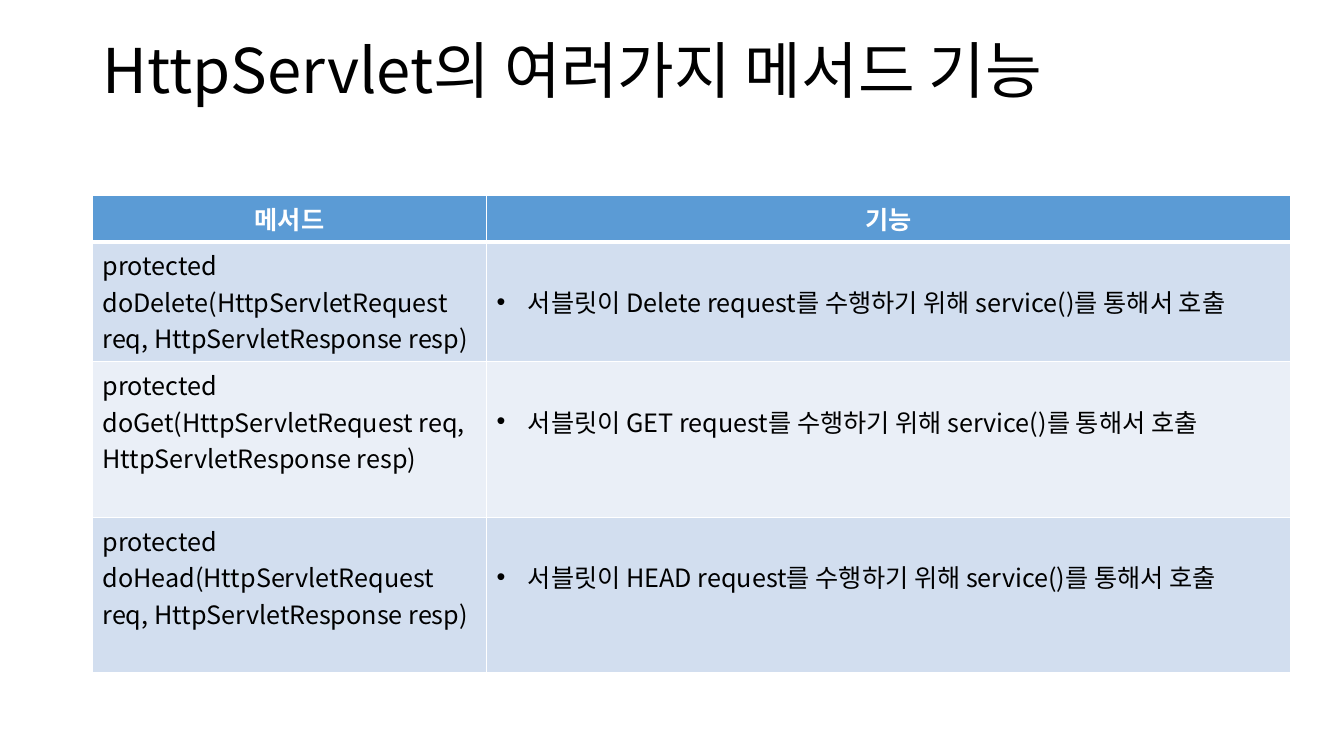
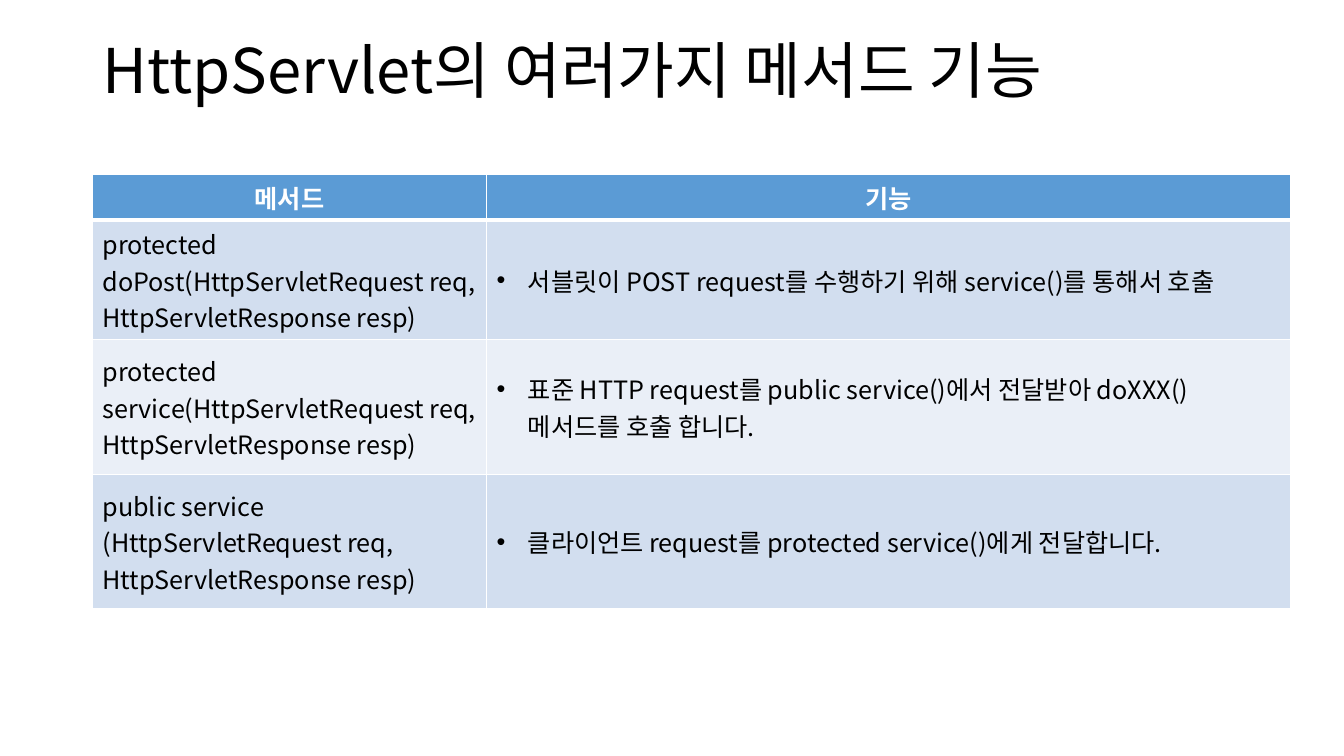
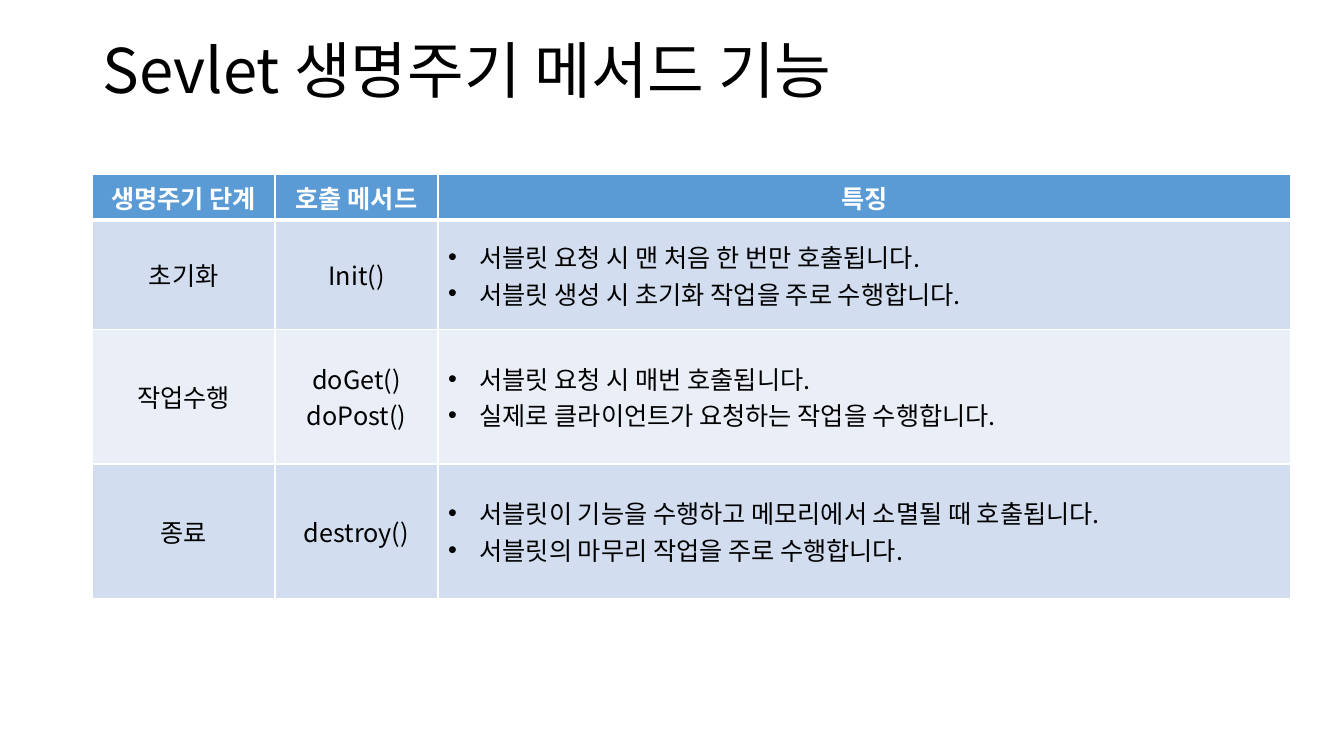
from lxml import etree
from pptx import Presentation
from pptx.dml.color import RGBColor
from pptx.enum.text import MSO_ANCHOR, PP_ALIGN
from pptx.oxml.ns import qn
from pptx.util import Cm, Pt

MIDDLE, TOP = MSO_ANCHOR.MIDDLE, MSO_ANCHOR.TOP
LEFT, CENTER = PP_ALIGN.LEFT, PP_ALIGN.CENTER

FONT = "Noto Sans CJK KR"
COLORS = {
    "text": "000000",
    "white": "FFFFFF",
    "header": "5B9BD5",
    "odd_row": "D2DEEF",
    "even_row": "EAEFF7",
}
TITLE_BOX = (2.34, 0, 29.21, 3.72)
TABLE_LEFT = 2.33
BULLET_INDENT = 0.79
SPARE_LINE = 1.04  # bottom margin that leaves one text line free


def add_run(p, text, size, color, bold=False):
    r = p.add_run()
    r.text = text
    r.font.size = Pt(size)
    r.font.bold = bold
    r.font.name = FONT
    r.font.color.rgb = RGBColor.from_string(COLORS[color])
    etree.SubElement(r.font._element, qn("a:ea"), typeface=FONT)


def set_bullet(p):
    pPr = p._p.get_or_add_pPr()
    pPr.set("marL", str(Cm(BULLET_INDENT)))
    pPr.set("indent", str(-Cm(BULLET_INDENT)))
    etree.SubElement(pPr, qn("a:buFont"), typeface="Arial")
    etree.SubElement(pPr, qn("a:buChar"), char="•")


def set_borders(cell, widths):
    tcPr = cell._tc.get_or_add_tcPr()
    for i, (side, width) in enumerate(widths.items()):
        ln = etree.Element(qn("a:" + side), w=str(Pt(width)))
        fill = etree.SubElement(ln, qn("a:solidFill"))
        etree.SubElement(fill, qn("a:srgbClr"), val=COLORS["white"])
        tcPr.insert(i, ln)


def add_title(slide, box, text):
    tf = slide.shapes.add_textbox(*map(Cm, box)).text_frame
    tf.word_wrap = True
    tf.vertical_anchor = MIDDLE
    p = tf.paragraphs[0]
    p.line_spacing = 0.9
    add_run(p, text, 44, "text")


def fill_cell(cell, lines, row, align, bulleted):
    is_header = row == 0
    cell.fill.solid()
    fill = "header" if is_header else "odd_row" if row % 2 else "even_row"
    cell.fill.fore_color.rgb = RGBColor.from_string(COLORS[fill])
    set_borders(cell, {"lnL": 1, "lnR": 1, "lnT": 3 if row == 1 else 1,
                       "lnB": 3 if is_header else 1})
    cell.vertical_anchor = TOP if is_header else MIDDLE
    tf = cell.text_frame
    for i, line in enumerate(lines.split("\n")):
        p = tf.paragraphs[0] if i == 0 else tf.add_paragraph()
        p.alignment = align
        if bulleted:
            set_bullet(p)
        add_run(p, line, 18, "white" if is_header else "text", is_header)


def add_method_table(slide, top, widths, heights, rows, label_align, spare_rows):
    """The last column is a bulleted list, the others are labels."""
    table = slide.shapes.add_table(
        len(rows), len(widths), Cm(TABLE_LEFT), Cm(top),
        Cm(sum(widths)), Cm(sum(heights))).table
    for column, width in zip(table.columns, widths):
        column.width = Cm(width)
    for i, texts in enumerate(rows):
        table.rows[i].height = Cm(heights[i])
        for j, text in enumerate(texts):
            cell = table.cell(i, j)
            bulleted = i > 0 and j == len(widths) - 1
            align = CENTER if i == 0 else LEFT if bulleted else label_align
            fill_cell(cell, text, i, align, bulleted)
            if i in spare_rows:
                cell.margin_bottom = Cm(SPARE_LINE)


def add_table_slide(prs, title, top, widths, heights, rows,
                    label_align=LEFT, spare_rows=()):
    slide = prs.slides.add_slide(prs.slide_layouts[6])
    add_title(slide, TITLE_BOX, title)
    add_method_table(slide, top, widths, heights, rows, label_align, spare_rows)


def signature(name):
    return f"{name}(HttpServletRequest req, HttpServletResponse resp)"


def request_row(method, verb):
    return (signature(f"protected {method}"),
            f"서블릿이 {verb} request를 수행하기 위해 service()를 통해서 호출")


prs = Presentation()
prs.slide_width, prs.slide_height = Cm(33.87), Cm(19.05)

# HttpServlet methods, in two parts
METHODS_TITLE = "HttpServlet의 여러가지 메서드 기능"
METHODS_HEADER = ("메서드", "기능")
METHODS_WIDTHS = (9.93, 20.26)

add_table_slide(prs, METHODS_TITLE, 4.93, METHODS_WIDTHS, (1.16, 3.01, 3.93, 3.93), [
    METHODS_HEADER,
    request_row("doDelete", "Delete"),
    request_row("doGet", "GET"),
    request_row("doHead", "HEAD"),
], spare_rows=(2, 3))

add_table_slide(prs, METHODS_TITLE, 4.39, METHODS_WIDTHS, (1.16, 3.01, 3.39, 3.39), [
    METHODS_HEADER,
    request_row("doPost", "POST"),
    (signature("protected service"),
     "표준 HTTP request를 public service()에서 전달받아 doXXX()메서드를 호출 합니다."),
    (signature("public service "),
     "클라이언트 request를 protected service()에게 전달합니다."),
])

# Life cycle methods
add_table_slide(prs, "Sevlet 생명주기 메서드 기능", 4.39,
                (4.6, 4.11, 21.48), (1.16, 2.75, 3.39, 3.39), [
    ("생명주기 단계", "호출 메서드", "특징"),
    ("초기화", "Init()",
     "서블릿 요청 시 맨 처음 한 번만 호출됩니다.\n"
     "서블릿 생성 시 초기화 작업을 주로 수행합니다."),
    ("작업수행", "doGet()\ndoPost()",
     "서블릿 요청 시 매번 호출됩니다.\n"
     "실제로 클라이언트가 요청하는 작업을 수행합니다."),
    ("종료", "destroy()",
     "서블릿이 기능을 수행하고 메모리에서 소멸될 때 호출됩니다.\n"
     "서블릿의 마무리 작업을 주로 수행합니다."),
], label_align=CENTER)

prs.save("out.pptx")
